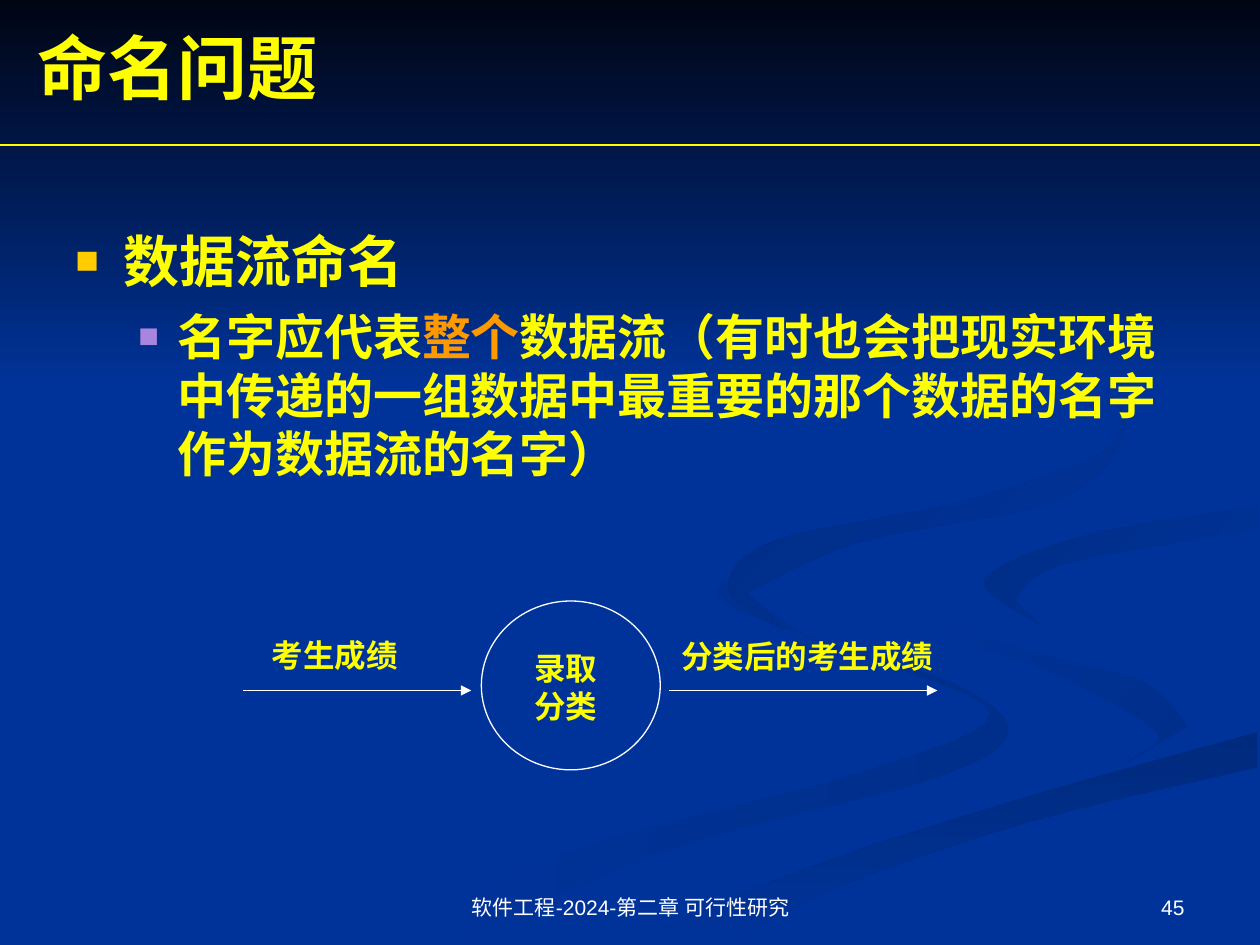
from lxml import etree
from pptx import Presentation, util as u
from pptx.dml.color import RGBColor
from pptx.enum import shapes, text
from pptx.oxml.ns import qn

WIDTH, HEIGHT = 10, 7.5
BLUE, YELLOW, WHITE, ORANGE = "003399", "FFFF00", "FFFFFF", "FF9900"
SERIF, SANS = "Times New Roman", "Arial"
CENTER, RIGHT = text.PP_ALIGN.CENTER, text.PP_ALIGN.RIGHT
MIDDLE, BOTTOM = text.MSO_ANCHOR.MIDDLE, text.MSO_ANCHOR.BOTTOM

# Content: a paragraph is a list of (text, colour) runs
TITLE = [[("命名问题", YELLOW)]]
TOPIC = [("数据流命名", YELLOW)]
DETAIL = [
    ("名字应代表", YELLOW),
    ("整个", ORANGE),
    ("数据流（有时也会把现实环境中传递的一组数据中最重要的那个数据的名字作为数据流的名字）", YELLOW),
]
# Bullet levels: text size, left margin, hanging indent, bullet colour, space before
LEVELS = [(32, 0.38, 0.38, "FFCC00", 0), (28, 0.81, 0.31, "A886E0", 7)]
PROCESS = [[("录取", YELLOW)], [("分类", YELLOW)]]
# Data flows: name, label box, arrow start and end
FLOWS = [
    ("考生成绩", (2.06, 5, 1.44, 0.4), 1.93, 3.74),
    ("分类后的考生成绩", (5.31, 5.01, 2.36, 0.4), 5.31, 7.44),
]
FLOW_Y = 5.48
FOOTERS = [
    ("软件工程-2024-第二章 可行性研究", 3.42, 3.17, CENTER),
    ("45", 7.17, 2.33, RIGHT),
]

# Background ribbons: start colour, end colour, clockwise angle, two curved edges
RIBBONS = [
    (BLUE, "002E8B", 0,
     [(5.75, 4.6), (5.76, 4.8), (6.79, 5.19), (7.86, 5.66), (6.84, 6.13), (4.58, 6.74), (3, 7.49)],
     [(3.61, 7.49), (5.32, 6.74), (7.4, 6.18), (8, 5.81), (7.57, 5.43), (6.42, 5.07)]),
    (BLUE, "002E8B", 45,
     [(7.24, 4.64), (7.46, 5), (8.38, 5.36), (9.18, 5.81), (8.94, 6.05)],
     [(9.43, 5.76), (9.05, 5.4), (8.11, 5.15), (7.45, 4.9)]),
    ("002A7D", BLUE, 90,
     [(5.03, 7.49), (6.3, 6.93), (7.97, 6.38), (9.98, 5.81)],
     [(9.98, 6.09), (8.21, 6.51), (6.7, 7.02), (5.71, 7.49)]),
    ("002D86", BLUE, 45,
     [(9.98, 4.02), (8.65, 4.24), (7.81, 4.6), (8.26, 4.96)],
     [(8.05, 4.76), (8.43, 4.48), (9.98, 4.2)]),
    ("002B82", BLUE, 45,
     [(7.62, 2.33), (8.7, 2.99), (8.82, 3.54), (7.63, 3.98), (6.15, 4.29), (5.78, 4.68), (6.22, 5)],
     [(5.93, 4.7), (6.83, 4.3), (8.41, 3.96), (8.93, 3.35), (8.43, 2.75)]),
]
CURVE_STEPS = 6


def rgb(value):
    return RGBColor.from_string(value)


def inches(*values):
    return [u.Inches(value) for value in values]


def write(shape, paragraphs, size=18, font=SERIF, bold=True, align=None,
          anchor=text.MSO_ANCHOR.TOP, wrap=True, levels=None):
    """Fill a shape with paragraphs of coloured runs; levels add square bullets."""
    frame = shape.text_frame
    frame.word_wrap, frame.vertical_anchor = wrap, anchor
    frame.auto_size = text.MSO_AUTO_SIZE.NONE
    for index, runs in enumerate(paragraphs):
        paragraph = frame.add_paragraph() if index else frame.paragraphs[0]
        paragraph.alignment = align or text.PP_ALIGN.LEFT
        if levels:
            size, margin, hanging, color, before = levels[index]
            add_bullet(paragraph, margin, hanging, color)
            paragraph.space_before = u.Pt(before)
        for content, color in runs:
            run = paragraph.add_run()
            run.text = content
            run.font.size, run.font.name, run.font.bold = u.Pt(size), font, bold
            run.font.color.rgb = rgb(color)


def add_bullet(paragraph, margin, hanging, color):
    properties = paragraph._p.get_or_add_pPr()
    properties.set("marL", str(u.Inches(margin)))
    properties.set("indent", str(-u.Inches(hanging)))
    bullet_color = etree.SubElement(properties, qn("a:buClr"))
    etree.SubElement(bullet_color, qn("a:srgbClr"), val=color)
    etree.SubElement(properties, qn("a:buSzPct"), val="70000")
    etree.SubElement(properties, qn("a:buFont"), typeface=SANS)
    etree.SubElement(properties, qn("a:buChar"), char="■")


def add_text(slide, box, paragraphs, **style):
    write(slide.shapes.add_textbox(*inches(*box)), paragraphs, **style)


def smooth(points):
    """Run a Catmull-Rom curve through the points."""
    padded = [points[0], *points, points[-1]]
    curve = []
    for before, start, end, after in zip(padded, padded[1:], padded[2:], padded[3:]):
        for step in range(CURVE_STEPS):
            t = step / CURVE_STEPS
            curve.append(tuple(
                b + ((c - a) * t + (2 * a - 5 * b + 4 * c - d) * t ** 2
                     + (3 * b - a - 3 * c + d) * t ** 3) / 2
                for a, b, c, d in zip(before, start, end, after)))
    return curve + [points[-1]]


def shade(shape, start, end, angle):
    shape.shadow.inherit = False
    shape.line.fill.background()
    shape.fill.gradient()
    shape.fill.gradient_angle = -angle % 360
    for stop, color, position in zip(shape.fill.gradient_stops, (start, end), (0, 1)):
        stop.color.rgb, stop.position = rgb(color), position


def add_ribbon(slide, start, end, angle, outer, inner):
    outline = [inches(*point) for point in smooth(outer) + smooth(inner)]
    builder = slide.shapes.build_freeform(*outline[0])
    builder.add_line_segments(outline[1:], close=True)
    shade(builder.convert_to_shape(), start, end, angle)


def add_line(slide, left, right, y, color, arrow=False):
    line = slide.shapes.add_connector(shapes.MSO_CONNECTOR.STRAIGHT, *inches(left, y, right, y))
    line.line.color.rgb, line.line.width = rgb(color), u.Pt(0.75)
    if arrow:
        etree.SubElement(line.line._get_or_add_ln(), qn("a:tailEnd"), type="triangle")
    etree.SubElement(line._element.spPr, qn("a:effectLst"))


def main():
    presentation = Presentation()
    presentation.slide_width, presentation.slide_height = inches(WIDTH, HEIGHT)
    slide = presentation.slides.add_slide(presentation.slide_layouts[5])

    # Background ribbons under a dark fade at the top
    slide.background.fill.solid()
    slide.background.fill.fore_color.rgb = rgb(BLUE)
    for ribbon in RIBBONS:
        add_ribbon(slide, *ribbon)
    fade = slide.shapes.add_shape(shapes.MSO_SHAPE.RECTANGLE, *inches(0, 0, WIDTH, 3.08))
    shade(fade, "000514", BLUE, 90)

    # Title, above the background, and its rule
    title = slide.shapes.title
    title.left, title.top, title.width, title.height = inches(0.2, 0.14, 9, 0.77)
    write(title, TITLE, size=40, anchor=MIDDLE)
    slide.shapes._spTree.append(title._element)
    add_line(slide, 0, WIDTH, 1.15, YELLOW)

    # Bulleted body
    add_text(slide, (0.5, 1.75, 9, 2.31), [TOPIC, DETAIL], levels=LEVELS)

    # Data flow diagram
    circle = slide.shapes.add_shape(shapes.MSO_SHAPE.OVAL, *inches(3.82, 4.77, 1.42, 1.34))
    circle.shadow.inherit = False
    circle.fill.background()
    circle.line.color.rgb, circle.line.width = rgb(WHITE), u.Pt(0.75)
    add_text(slide, (4.14, 5.1, 0.7, 0.7), PROCESS, wrap=False)
    for name, box, start, end in FLOWS:
        add_line(slide, start, end, FLOW_Y, WHITE, arrow=True)
        add_text(slide, box, [[(name, YELLOW)]])

    # Footer and page number
    for content, left, width, align in FOOTERS:
        add_text(slide, (left, 6.83, width, 0.52), [[(content, WHITE)]],
                 size=12, font=SANS, bold=False, align=align, anchor=BOTTOM)

    presentation.save("out.pptx")


if __name__ == "__main__":
    main()
